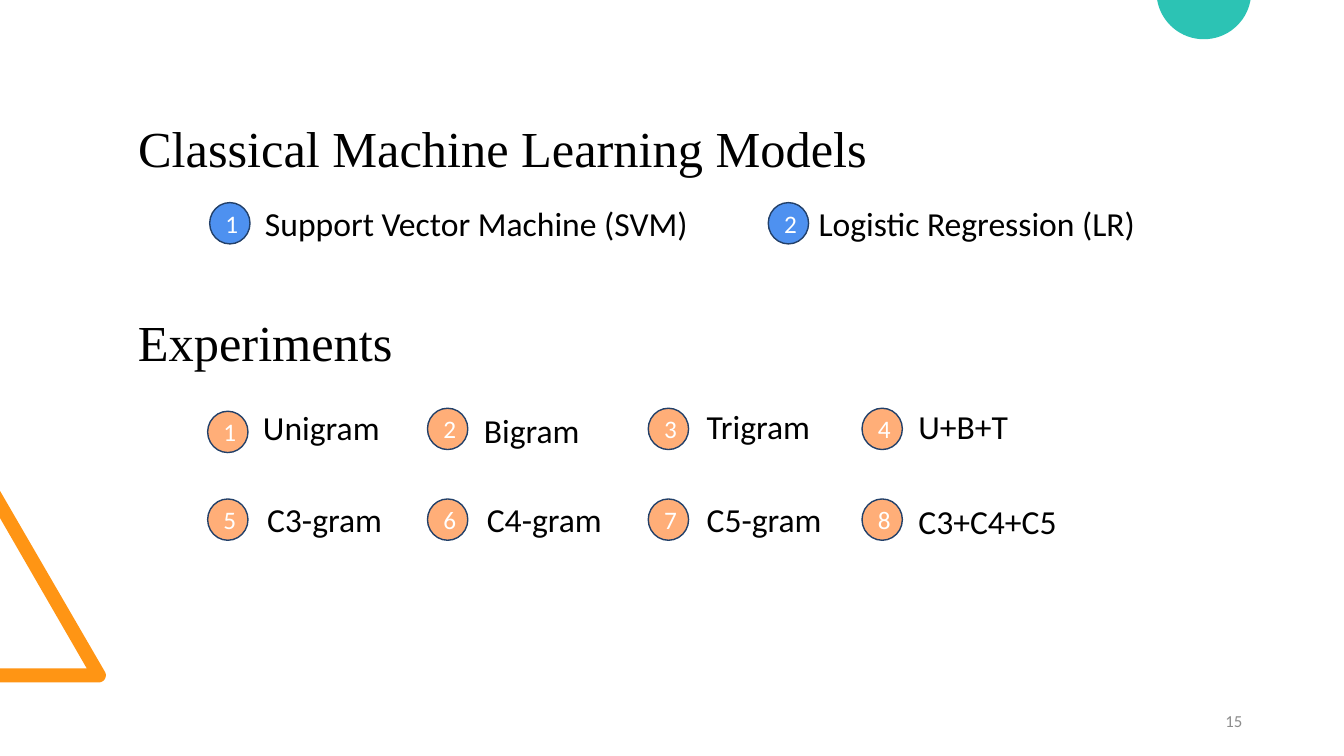
"""Build the slide on classical machine learning models and n-gram experiments."""
from math import cos, radians, sin

from pptx import Presentation
from pptx.dml.color import RGBColor
from pptx.enum.shapes import MSO_SHAPE
from pptx.enum.text import MSO_ANCHOR, PP_ALIGN
from pptx.util import Inches, Pt

OVAL = MSO_SHAPE.OVAL
TOP, MIDDLE = MSO_ANCHOR.TOP, MSO_ANCHOR.MIDDLE
LEFT, CENTER, RIGHT = PP_ALIGN.LEFT, PP_ALIGN.CENTER, PP_ALIGN.RIGHT
COLORS = {
    "ink": "000000", "white": "FFFFFF", "page": "8C8C8C", "outline": "224069",
    "model": "4E91F0", "experiment": "FFAE78", "teal": "2CC3B4", "orange": "FF9514",
}
HEADING = {"size": 36, "font": "Times New Roman"}


def color(name):
    return RGBColor.from_string(COLORS[name])


def write(shape, text, size=24, font="Calibri", ink="ink", align=LEFT, anchor=TOP):
    frame = shape.text_frame
    frame.word_wrap = True
    frame.vertical_anchor = anchor
    paragraph = frame.paragraphs[0]
    paragraph.alignment = align
    run = paragraph.add_run()
    run.text = text
    run.font.size = Pt(size)
    run.font.name = font
    run.font.color.rgb = color(ink)


def arc(x, y, radius, start, end, steps=32):
    angles = [radians(start + (end - start) * i / steps) for i in range(steps + 1)]
    return [(x + radius * cos(a), y + radius * sin(a)) for a in angles]


class SlideBuilder:
    """Hold the slide style and add elements to the current slide."""

    def __init__(self, slide):
        self.slide = slide
        self.shapes = slide.shapes
        slide.background.fill.solid()
        slide.background.fill.fore_color.rgb = color("white")

    def title(self, text, left, top, width, height):
        heading = self.shapes.title
        heading.left, heading.top = Inches(left), Inches(top)
        heading.width, heading.height = Inches(width), Inches(height)
        write(heading, text, **HEADING)

    def label(self, text, left, top, width, height=0.5, **style):
        box = self.shapes.add_textbox(Inches(left), Inches(top), Inches(width), Inches(height))
        write(box, text, **style)

    def badge(self, number, left, top, fill):
        circle = self.shapes.add_shape(OVAL, Inches(left), Inches(top), Inches(0.4), Inches(0.41))
        circle.shadow.inherit = False
        circle.fill.solid()
        circle.fill.fore_color.rgb = color(fill)
        circle.line.color.rgb = color("outline")
        circle.line.width = Pt(1)
        write(circle, str(number), size=18, ink="white", align=CENTER, anchor=MIDDLE)

    def outline(self, points, fill):
        corners = [(Inches(x), Inches(y)) for x, y in points]
        builder = self.shapes.build_freeform(*corners[0])
        builder.add_line_segments(corners[1:], close=True)
        ornament = builder.convert_to_shape()
        ornament.shadow.inherit = False
        ornament.fill.solid()
        ornament.fill.fore_color.rgb = color(fill)
        ornament.line.fill.background()


def main():
    deck = Presentation()
    deck.slide_width, deck.slide_height = Inches(13.33), Inches(7.5)
    page = SlideBuilder(deck.slides.add_slide(deck.slide_layouts[5]))

    triangle = [(0, 6.77), (0, 6.63), (0.86, 6.63), (0, 5.14), (0, 4.87)]
    page.outline(triangle + arc(0.98, 6.7, 0.07, -30, 90), "orange")
    page.outline(arc(11.94, -0.08, 0.47, 10, 170), "teal")
    page.label("15", 9.42, 6.95, 3, 0.4, size=12, ink="page", align=RIGHT, anchor=MIDDLE)

    page.title("Classical Machine Learning Models", 1.27, 1.11, 10.34, 0.71)
    models = [
        ("Support Vector Machine (SVM)", 2.08, 2.53, 5.44),
        ("Logistic Regression (LR)", 7.62, 8.02, 3.98),
    ]
    for number, (model, badge_left, label_left, width) in enumerate(models, 1):
        page.badge(number, badge_left, 2.01, "model")
        page.label(model, label_left, 1.96, width)

    page.label("Experiments", 1.27, 3.04, 8.19, 0.71, **HEADING)
    badge_lefts, badge_tops = [2.06, 4.24, 6.43, 8.55], [4.05, 4.95]
    experiments = [
        ("Unigram", 2.51, 3.99), ("Bigram", 4.7, 4.02),
        ("Trigram", 6.91, 3.98), ("U+B+T", 9.01, 3.98),
        ("C3-gram", 2.55, 4.9), ("C4-gram", 4.73, 4.9),
        ("C5-gram", 6.91, 4.9), ("C3+C4+C5", 9.01, 4.92),
    ]
    for index, (experiment, label_left, label_top) in enumerate(experiments):
        row, column = divmod(index, len(badge_lefts))
        nudge = 0.03 if index == 0 else 0
        page.badge(index + 1, badge_lefts[column], badge_tops[row] + nudge, "experiment")
        page.label(experiment, label_left, label_top, 2.02)

    deck.save("out.pptx")


if __name__ == "__main__":
    main()
